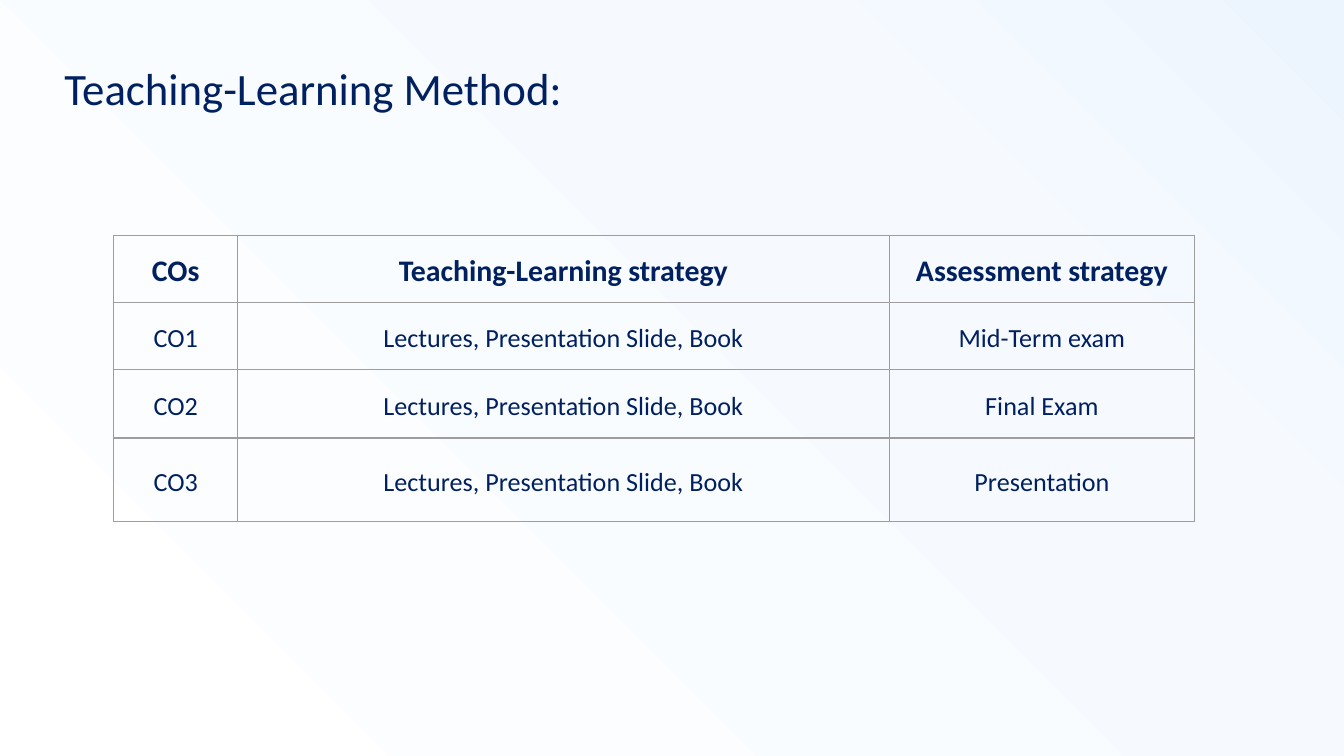
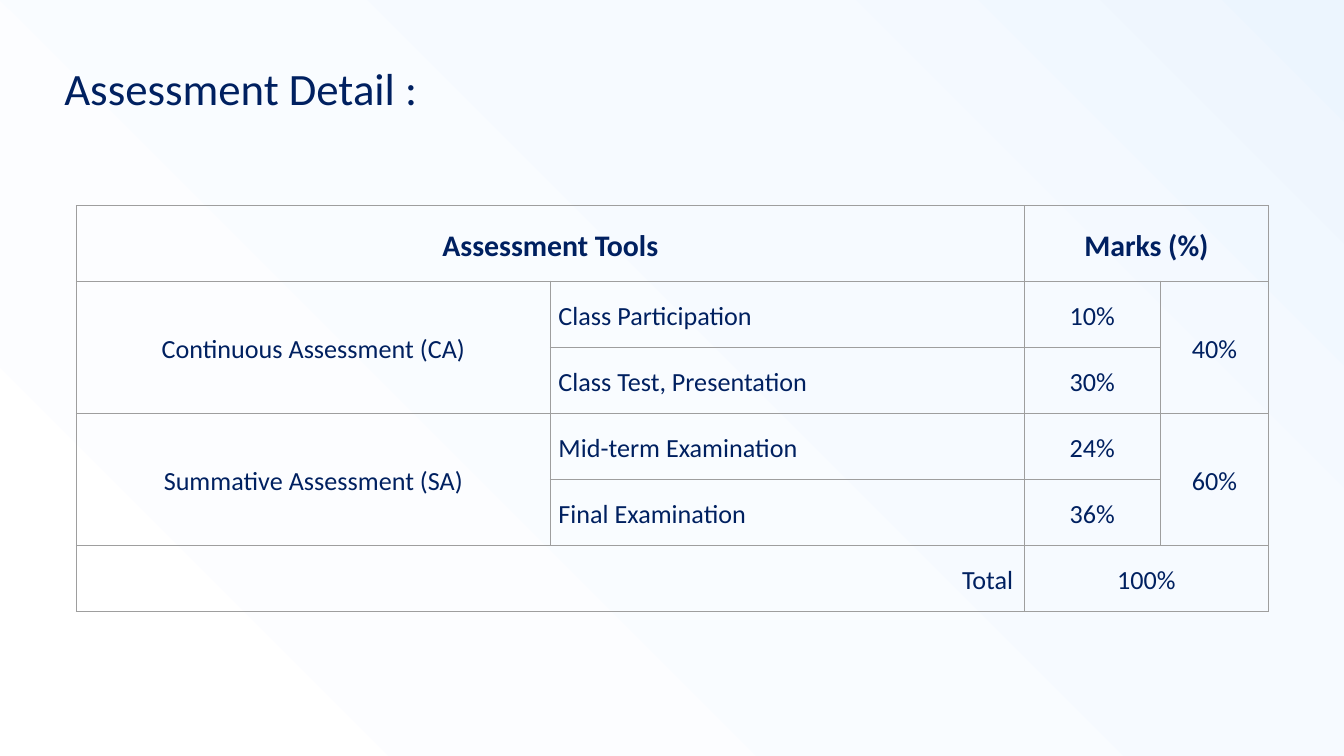
from lxml.etree import SubElement
from pptx import Presentation
from pptx.dml.color import RGBColor
from pptx.enum.text import MSO_ANCHOR as Anchor, PP_ALIGN as Align
from pptx.oxml import parse_xml
from pptx.oxml.ns import nsdecls, qn
from pptx.util import Pt

FONT = "Calibri"
NAVY, GRAY = "002060", "9E9E9E"
BACKGROUND_STOPS = [(0, "ECF5FE"), (29, "F6FAFF"), (99, "FFFFFF")]


def color(hex_string):
    return RGBColor.from_string(hex_string)


class SlideBuilder:
    def __init__(self, deck):
        self.deck = deck
        self.slide = None
        self.paint_background()

    def paint_background(self):
        """Give the master a circular gradient that starts at the top right."""
        master = self.deck.slide_master
        master.background.fill.solid()
        solid = master.element.find(".//" + qn("p:bgPr"))[0]
        stops = "".join(
            f'<a:gs pos="{position * 1000}"><a:srgbClr val="{tone}"/></a:gs>'
            for position, tone in BACKGROUND_STOPS)
        gradient = parse_xml(
            f'<a:gradFill {nsdecls("a")} rotWithShape="1"><a:gsLst>{stops}</a:gsLst>'
            '<a:path path="circle"><a:fillToRect l="100000" b="100000"/></a:path>'
            '</a:gradFill>')
        solid.getparent().replace(solid, gradient)

    def add_slide(self, title, title_width):
        self.slide = self.deck.slides.add_slide(self.deck.slide_layouts[6])
        box = self.slide.shapes.add_textbox(
            Pt(27.4), Pt(25.2), Pt(title_width), Pt(45.4))
        frame = box.text_frame
        frame.word_wrap = True
        frame.margin_left = frame.margin_right = Pt(7.2)
        frame.margin_top = frame.margin_bottom = Pt(7.2)
        frame.text = title
        self.style_runs(frame.paragraphs[0], 24)

    def style_runs(self, para, size, bold=False):
        for span in para.runs:
            span.font.name = FONT
            span.font.size = Pt(size)
            span.font.bold = bold
            span.font.color.rgb = color(NAVY)

    def add_table(self, left, top, widths, heights, rows, margin=0.0,
                  merges=(), aligned=None):
        """Merges hold two corner cells; aligned maps a cell to (align, inset)."""
        table = self.slide.shapes.add_table(
            len(heights), len(widths), Pt(left), Pt(top),
            Pt(sum(widths)), Pt(sum(heights))).table
        table.first_row = table.horz_banding = False
        for column, width in zip(table.columns, widths):
            column.width = Pt(width)
        for row, height in zip(table.rows, heights):
            row.height = Pt(height)
        for first, last in merges:
            table.cell(*first).merge(table.cell(*last))
        for r, texts in enumerate(rows):
            for c, text in enumerate(texts):
                cell = table.cell(r, c)
                align, inset = (aligned or {}).get((r, c), (Align.CENTER, margin))
                self.style_cell(cell, inset)
                if text:
                    self.fill_cell(cell, text, align, header=r == 0)

    def style_cell(self, cell, inset):
        cell.margin_left = cell.margin_right = Pt(inset)
        cell.margin_top = cell.margin_bottom = Pt(0)
        cell.vertical_anchor = Anchor.MIDDLE
        properties = cell._tc.get_or_add_tcPr()
        for side in ("a:lnL", "a:lnR", "a:lnT", "a:lnB"):
            line = SubElement(properties, qn(side), w=str(Pt(0.75)))
            paint = SubElement(line, qn("a:solidFill"))
            SubElement(paint, qn("a:srgbClr"), val=GRAY)
        cell.fill.background()

    def fill_cell(self, cell, text, align, header):
        cell.text_frame.text = text
        para = cell.text_frame.paragraphs[0]
        para.alignment = align
        para.line_spacing = 1.15
        para.space_after = Pt(10)
        self.style_runs(para, 16 if header else 14, header)


def main():
    deck = Presentation()
    deck.slide_width, deck.slide_height = Pt(720), Pt(405)
    builder = SlideBuilder(deck)

    # Teaching-learning method
    strategy = "Lectures, Presentation Slide, Book"
    builder.add_slide("Teaching-Learning Method:", 287.3)
    builder.add_table(
        61, 126, [66.3, 349.2, 163.5], [36, 36, 36.7, 44.6],
        [["COs", "Teaching-Learning strategy", "Assessment strategy"],
         ["CO1", strategy, "Mid-Term exam"],
         ["CO2", strategy, "Final Exam"],
         ["CO3", strategy, "Presentation"]],
        margin=5)

    # Assessment detail
    builder.add_slide("Assessment Detail :", 234.7)
    tools = {(row, 1): (Align.LEFT, 4.3) for row in range(1, 5)}
    builder.add_table(
        41, 110.2, [253.9, 253.9, 72.8, 58], [40.5] + [35.35] * 5,
        [["Assessment Tools", None, "Marks (%)", None],
         ["Continuous Assessment (CA)", "Class Participation", "10%", "40%"],
         [None, "Class Test, Presentation", "30%", None],
         ["Summative Assessment (SA)", "Mid-term Examination", "24%", "60%"],
         [None, "Final Examination", "36%", None],
         ["Total", None, "100%", None]],
        merges=[((row, col), (row, col + 1)) for row in (0, 5) for col in (0, 2)]
        + [((row, col), (row + 1, col)) for row in (1, 3) for col in (0, 3)],
        aligned={**tools, (5, 0): (Align.RIGHT, 6)})

    deck.save("out.pptx")


if __name__ == "__main__":
    main()
